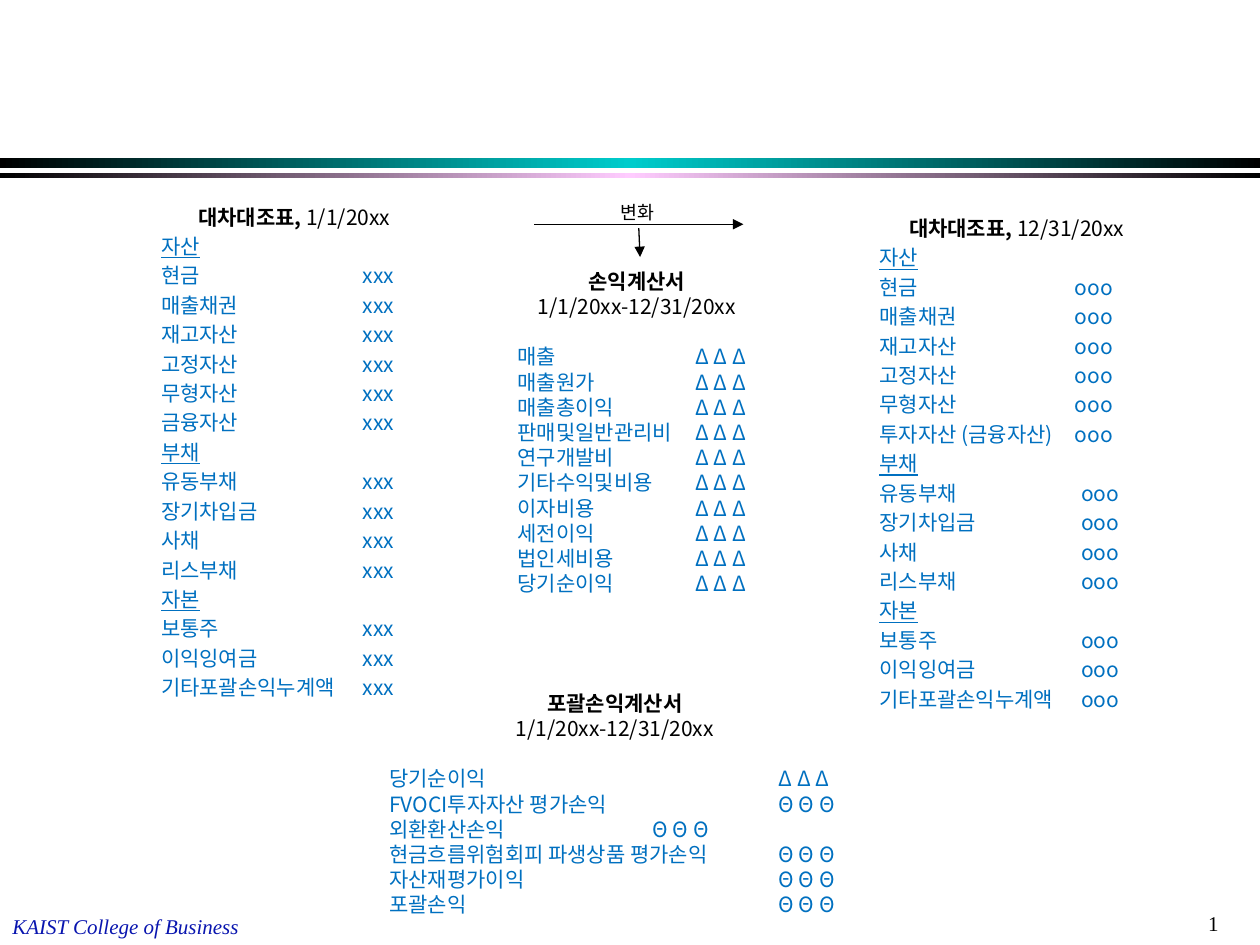
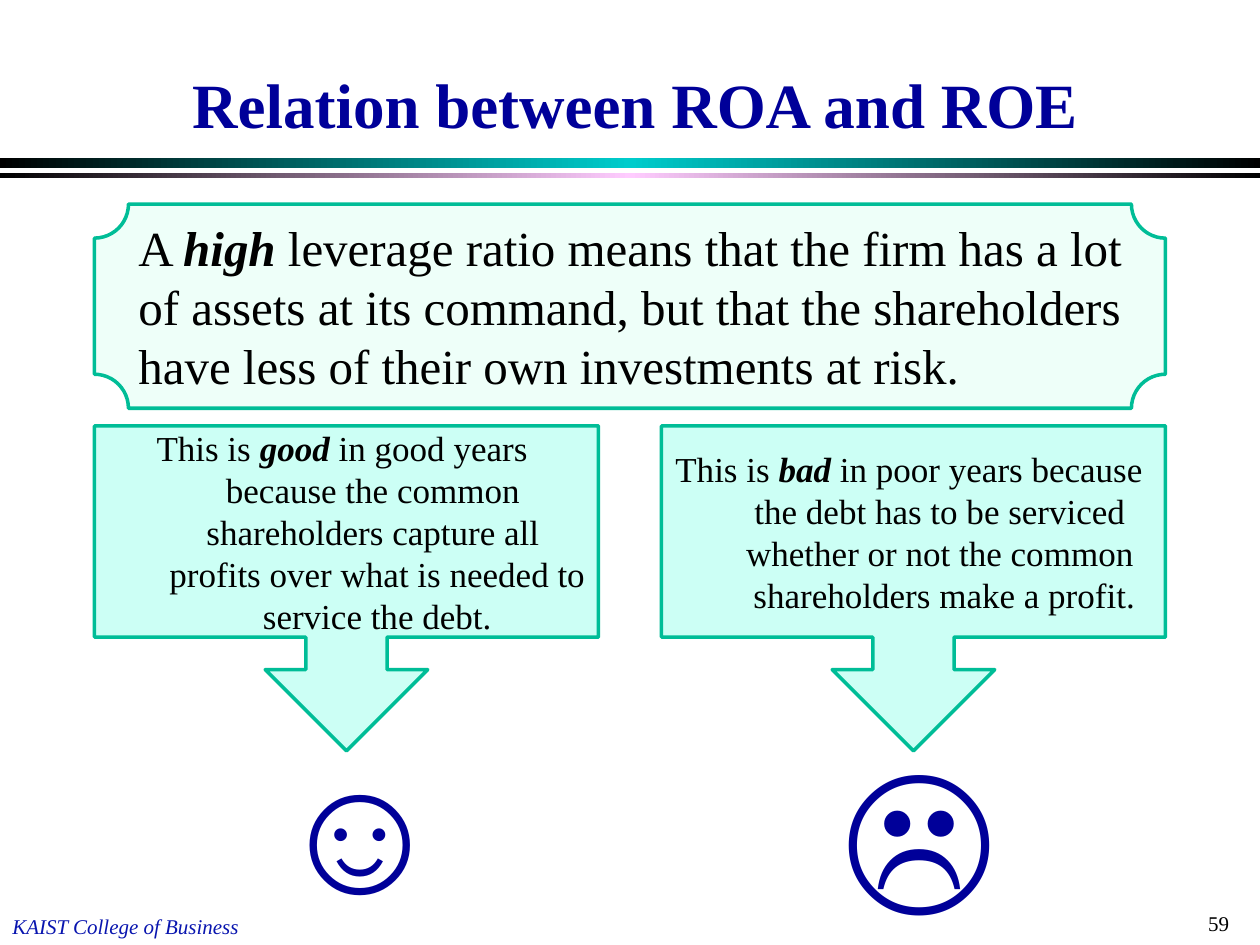
"""Two slides: how the financial statements link, and how ROA relates to ROE."""
from copy import deepcopy

from lxml.etree import SubElement
from pptx import Presentation
from pptx.dml.color import RGBColor
from pptx.enum.shapes import MSO_CONNECTOR as CONN, MSO_SHAPE as SHAPE
from pptx.enum.text import MSO_ANCHOR as ANCHOR, PP_ALIGN as ALIGN
from pptx.oxml.ns import qn
from pptx.util import Inches, Pt

BLACK = RGBColor(0x00, 0x00, 0x00)
TEAL = RGBColor(0x00, 0xCC, 0xCC)
PINK = RGBColor(0xFF, 0xCC, 0xFF)
NAVY = RGBColor(0x00, 0x00, 0x99)
FOOTER_BLUE = RGBColor(0x09, 0x15, 0xAF)
ACCOUNT_BLUE = RGBColor(0x00, 0x70, 0xC0)
GREEN = RGBColor(0x00, 0xBD, 0x97)
PALE_MINT = RGBColor(0xEE, 0xFF, 0xF9)
MINT = RGBColor(0xCC, 0xFF, 0xF5)
SERIF, KOREAN, SANS = "Times New Roman", "Noto Sans CJK KR", "Arial"


def add_run(p, text, size, font=SERIF, color=BLACK, bold=False, italic=False, underline=False):
    p.line_spacing = Pt(size * 1.2)
    r = p.add_run()
    r.text = text
    f = r.font
    f.size, f.name, f.bold, f.italic, f.underline = Pt(size), font, bold, italic, underline
    f.color.rgb = color
    SubElement(r._r.get_or_add_rPr(), qn("a:ea"), typeface=font)


def add_box(s, x, y, w, h, wrap=True, inset=(0.1, 0.05)):
    tf = s.shapes.add_textbox(Inches(x), Inches(y), Inches(w), Inches(h)).text_frame
    tf.word_wrap = wrap
    tf.margin_left = tf.margin_right = Inches(inset[0])
    tf.margin_top = tf.margin_bottom = Inches(inset[1])
    return tf


prs = Presentation()
prs.slide_width, prs.slide_height = Inches(10), Inches(7.5)

for number in ("1", "59"):
    s = prs.slides.add_slide(prs.slide_layouts[6])
    for y, h, middle in ((1.25, 0.08, TEAL), (1.37, 0.04, PINK)):
        band = s.shapes.add_shape(SHAPE.RECTANGLE, 0, Inches(y), prs.slide_width, Inches(h))
        band.shadow.inherit = False
        band.line.fill.background()
        band.fill.gradient()
        band.fill.gradient_angle = 0
        stops = band._element.spPr.find(".//" + qn("a:gsLst"))
        stops.append(deepcopy(stops[0]))
        for i, (stop, color) in enumerate(zip(band.fill.gradient_stops, (BLACK, middle, BLACK))):
            stop.position = i / 2
            stop.color.rgb = color
    add_run(add_box(s, 9.49, 7.18, 0.59, 0.3).paragraphs[0], number, 12)
    add_run(add_box(s, 0, 7.2, 2.02, 0.3, wrap=False).paragraphs[0],
            "KAIST College of Business", 12, color=FOOTER_BLUE, italic=True)

flow, leverage = prs.slides

ASSETS = ["현금", "매출채권", "재고자산", "고정자산", "무형자산"]
CLAIMS = ["부채", "유동부채", "장기차입금", "사채", "리스부채",
          "자본", "보통주", "이익잉여금", "기타포괄손익누계액"]
HEADINGS = ("자산", "부채", "자본")
balance_sheets = [
    ((1.18, 1.57, 2.31, 4.29), (0.1, 0.05), "1/1/20xx", "금융자산", "xxx", 1.6),
    ((6.94, 1.69, 2.26, 4.18), (0.04, 0.02), "12/31/20xx", "투자자산 (금융자산)", "ooo", 1.55),
]
for place, inset, date, last_asset, value, asset_tab in balance_sheets:
    tf = add_box(flow, *place, inset=inset)
    p = tf.paragraphs[0]
    p.alignment = ALIGN.CENTER
    add_run(p, "대차대조표, ", 12, KOREAN, bold=True)
    add_run(p, date, 12, KOREAN)
    assets = ["자산", *ASSETS, last_asset]
    for account in assets + CLAIMS:
        p = tf.add_paragraph()
        p.space_before = Pt(2.4)
        if account in HEADINGS:
            add_run(p, account, 12, KOREAN, ACCOUNT_BLUE, underline=True)
            continue
        tab = asset_tab if account in assets else 1.6
        tabs = SubElement(p._p.get_or_add_pPr(), qn("a:tabLst"))
        SubElement(tabs, qn("a:tab"), pos=str(Inches(tab)), algn="l")
        add_run(p, f"{account}\t{value}", 12, KOREAN, ACCOUNT_BLUE)

DELTA, THETA = "Δ Δ Δ", "Θ Θ Θ"
income_rows = [(account, DELTA, 1.41) for account in (
    "매출", "매출원가", "매출총이익", "판매및일반관리비", "연구개발비",
    "기타수익및비용", "이자비용", "세전이익", "법인세비용", "당기순이익")]
comprehensive_rows = [
    ("당기순이익", DELTA, 3.09),
    ("FVOCI투자자산 평가손익", THETA, 3.09),
    ("외환환산손익", THETA, 2.09),
    ("현금흐름위험회피 파생상품 평가손익", THETA, 3.09),
    ("자산재평가이익", THETA, 3.09),
    ("포괄손익", THETA, 3.09),
]
income_statements = [
    ((4.01, 2.08, 2.09, 2.84), (0.1, 0.05), "손익계산서", income_rows),
    ((3.07, 5.43, 3.62, 1.9), (0.02, 0.05), "포괄손익계산서", comprehensive_rows),
]
for place, inset, name, rows in income_statements:
    tf = add_box(flow, *place, inset=inset)
    p = tf.paragraphs[0]
    p.alignment = ALIGN.CENTER
    add_run(p, name, 12, KOREAN, bold=True)
    p = tf.add_paragraph()
    p.alignment = ALIGN.CENTER
    add_run(p, "1/1/20xx-12/31/20xx", 12, KOREAN)
    for i, (account, value, tab) in enumerate(rows):
        p = tf.add_paragraph()
        p.space_before = Pt(0 if i else 14.4)
        tabs = SubElement(p._p.get_or_add_pPr(), qn("a:tabLst"))
        SubElement(tabs, qn("a:tab"), pos=str(Inches(tab)), algn="l")
        add_run(p, f"{account}\t{value}", 12, KOREAN, ACCOUNT_BLUE)

add_run(add_box(flow, 4.83, 1.55, 0.5, 0.28, wrap=False).paragraphs[0], "변화", 10.5, KOREAN)
for ends in ((4.24, 1.78, 5.9, 1.78), (5.07, 1.81, 5.08, 2.04)):
    arrow = flow.shapes.add_connector(CONN.STRAIGHT, *map(Inches, ends))
    arrow.line.color.rgb = BLACK
    arrow.line.width = Pt(0.75)
    SubElement(arrow.line._get_or_add_ln(), qn("a:tailEnd"), type="triangle")
    SubElement(arrow._element.spPr, qn("a:effectLst"))

tf = add_box(leverage, 0.51, 0.17, 9.06, 1)
tf.vertical_anchor = ANCHOR.BOTTOM
tf.paragraphs[0].alignment = ALIGN.CENTER
add_run(tf.paragraphs[0], "Relation between ROA and ROE", 36, color=NAVY, bold=True)

for x, w, face in ((2.08, 1.42, "☺"), (6.59, 1.08, "☹")):
    add_run(add_box(leverage, x, 5.71, w, 1.72).paragraphs[0], face, 96, SANS, NAVY)

panels = [
    (SHAPE.PLAQUE, (0.75, 1.62, 8.5, 1.62), PALE_MINT, 28, ALIGN.LEFT, (0.06, 0),
     "A ", "high ",
     ["leverage ratio means that the firm has a lot of assets at its command, "
      "but that the shareholders have less of their own investments at risk."]),
    (SHAPE.DOWN_ARROW_CALLOUT, (0.75, 3.38, 4, 2.58), MINT, 20, ALIGN.CENTER, (0.49, -0.49),
     "This is ", "good",
     [" in good years ", "because the common ", "shareholders capture all ",
      "profits over what is needed to service the debt."]),
    (SHAPE.DOWN_ARROW_CALLOUT, (5.25, 3.38, 4, 2.58), MINT, 20, ALIGN.CENTER, (0.49, -0.49),
     "This is ", "bad",
     [" in poor years because ", "the debt has to be serviced ",
      "whether or not the common ", "shareholders make a profit."]),
]
for kind, place, color, size, align, (margin, indent), start, stress, lines in panels:
    sp = leverage.shapes.add_shape(kind, *map(Inches, place))
    sp.shadow.inherit = False
    sp.fill.solid()
    sp.fill.fore_color.rgb = color
    sp.line.color.rgb = GREEN
    sp.line.width = Pt(2)
    tf = sp.text_frame
    tf.word_wrap = True
    tf.vertical_anchor = ANCHOR.MIDDLE
    p = tf.paragraphs[0]
    p.alignment = align
    pPr = p._p.get_or_add_pPr()
    pPr.set("marL", str(Inches(margin)))
    pPr.set("indent", str(Inches(indent)))
    add_run(p, start, size)
    add_run(p, stress, size, bold=True, italic=True)
    for i, line in enumerate(lines):
        if i:
            p.add_line_break()
        add_run(p, line, size)

prs.save("out.pptx")
